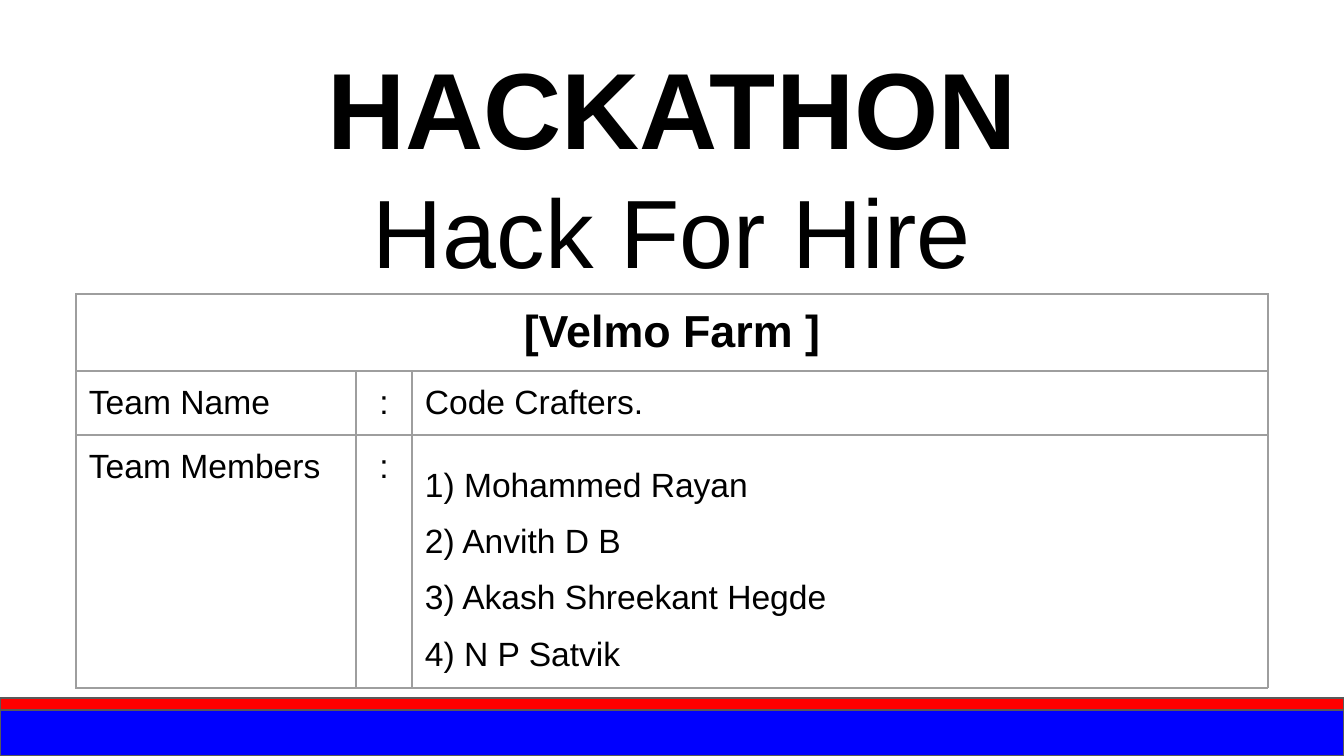
from lxml import etree
from pptx import Presentation, util as u
from pptx.dml.color import RGBColor
from pptx.enum import shapes, text
from pptx.oxml.ns import qn

HUES = {"ink": "000000", "blue": "0000FF", "red": "FF0000",
        "edge": "595959", "grid": "9E9E9E"}
PX = u.Inches(10) / 1344
PAD = {"margin_left": 13, "margin_right": 13, "margin_top": 13, "margin_bottom": 13}
MID = text.PP_ALIGN.CENTER
LEFT = text.PP_ALIGN.LEFT


def px(n):
    return u.Emu(round(n * PX))


def write(frame, lines, align, gap=1.0):
    for i, (words, size, bold) in enumerate(lines):
        para = frame.paragraphs[0] if i == 0 else frame.add_paragraph()
        para.alignment = align
        para.line_spacing = gap
        run = para.add_run()
        run.text = words
        look = {"name": "Arial", "size": u.Pt(size), "bold": bold}
        for key, val in look.items():
            setattr(run.font, key, val)
        run.font.color.rgb = RGBColor.from_string(HUES["ink"])


deck = Presentation()
deck.slide_width = px(1344)
deck.slide_height = px(756)
slide = deck.slides.add_slide(deck.slide_layouts[0])
sub = slide.placeholders[1].element
sub.getparent().remove(sub)

for hue, top, high in [("blue", 710, 46), ("red", 698, 12)]:
    bar = slide.shapes.add_shape(
        shapes.MSO_SHAPE.RECTANGLE, 0, px(top), px(1344), px(high))
    bar.shadow.inherit = False
    bar.fill.solid()
    bar.fill.fore_color.rgb = RGBColor.from_string(HUES[hue])
    bar.line.color.rgb = RGBColor.from_string(HUES["edge"])
    bar.line.width = u.Pt(0.75)

title = slide.shapes.title
for key, val in {"left": 46, "top": 0, "width": 1252, "height": 301}.items():
    setattr(title, key, px(val))
frame = title.text_frame
for key, val in PAD.items():
    setattr(frame, key, px(val))
frame.word_wrap = True
frame.auto_size = text.MSO_AUTO_SIZE.NONE
frame.vertical_anchor = text.MSO_ANCHOR.BOTTOM
write(frame, [("HACKATHON", 58, True), ("Hack For Hire", 52, False)], MID)

wide = [280, 56, 856]
tall = [77, 64, 253]
table = slide.shapes.add_table(
    3, 3, px(76), px(294), px(sum(wide)), px(sum(tall))).table
table.first_row = False
table.horz_banding = False
for col, size in zip(table.columns, wide):
    col.width = px(size)
for row, size in zip(table.rows, tall):
    row.height = px(size)
table.cell(0, 0).merge(table.cell(0, 2))

names = ["Mohammed Rayan", "Anvith D B", "Akash Shreekant Hegde", "N P Satvik"]
team = [f"{i}) {name}" for i, name in enumerate(names, 1)]
cells = [
    (0, 0, ["[Velmo Farm ]"], 24, MID, 1.0),
    (1, 0, ["Team Name"], 18, LEFT, 1.0),
    (1, 1, [":"], 18, MID, 1.0),
    (1, 2, ["Code Crafters."], 18, LEFT, 1.0),
    (2, 0, ["Team Members"], 18, LEFT, 1.0),
    (2, 1, [":"], 18, MID, 1.0),
    (2, 2, team, 18, LEFT, 1.5),
]
for r, c, lines, size, align, gap in cells:
    rows = [(line, size, r == 0) for line in lines]
    write(table.cell(r, c).text_frame, rows, align, gap)

for cell in table.iter_cells():
    for key, val in PAD.items():
        setattr(cell, key, px(val))
    cell.fill.background()
    props = cell._tc.get_or_add_tcPr()
    for i, side in enumerate(["lnL", "lnR", "lnT", "lnB"]):
        line = etree.Element(qn("a:" + side), w=str(u.Pt(0.75)))
        fill = etree.SubElement(line, qn("a:solidFill"))
        etree.SubElement(fill, qn("a:srgbClr"), val=HUES["grid"])
        props.insert(i, line)

deck.save("out.pptx")
